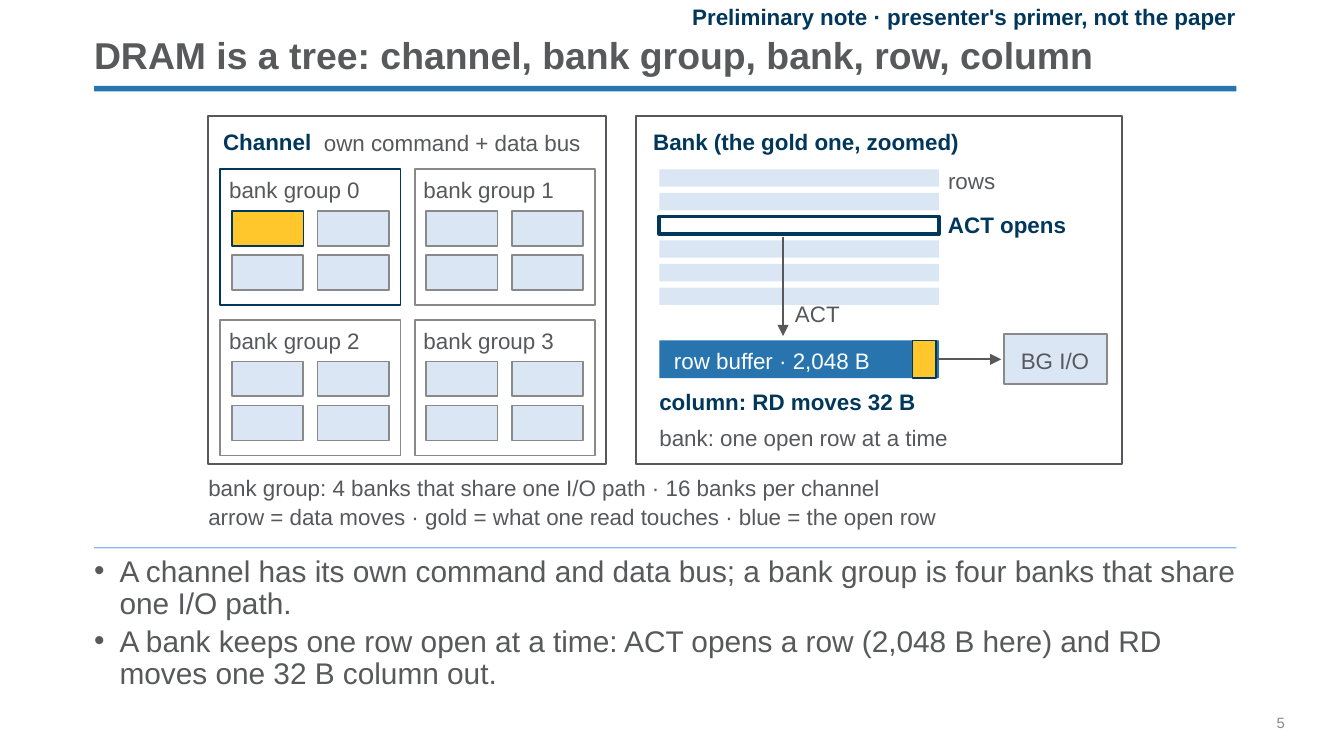
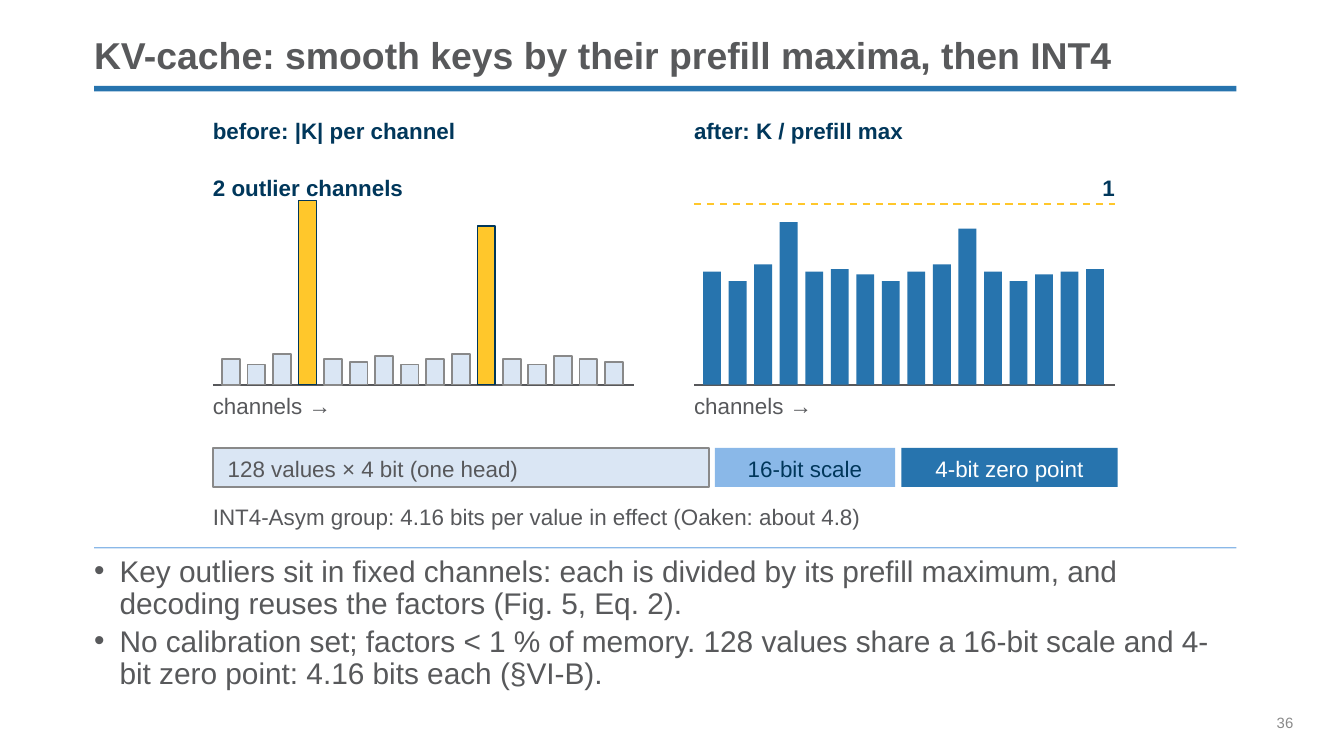
from dataclasses import dataclass
from itertools import product
from typing import NamedTuple, Optional

from lxml.etree import SubElement
from pptx import Presentation
from pptx.dml.color import RGBColor
from pptx.enum.dml import MSO_LINE
from pptx.enum.shapes import MSO_CONNECTOR, MSO_SHAPE
from pptx.enum.text import MSO_ANCHOR, PP_ALIGN
from pptx.oxml.ns import qn
from pptx.slide import Slide
from pptx.text.text import TextFrame
from pptx.util import Emu, Inches, Pt

SLIDE_WIDTH = Inches(10)
SLIDE_HEIGHT = Emu(SLIDE_WIDTH * 9 // 16)
COLUMNS = 100
CELL = SLIDE_WIDTH // COLUMNS


@dataclass(frozen=True)
class Theme:
    font: str = "Arial"
    heading: str = "58595B"
    ink: str = "57585B"
    navy: str = "00375B"
    blue: str = "2774AE"
    sky: str = "8AB8E8"
    pale: str = "DAE6F4"
    gold: str = "FFC72B"
    gray: str = "898989"
    white: str = "FFFFFF"
    title_size: float = 20
    body_size: float = 16
    label_size: float = 12
    number_size: float = 8


THEME = Theme()


class Area(NamedTuple):
    left: float
    top: float
    width: float
    height: float


class Paint(NamedTuple):
    fill: Optional[str] = None
    line: Optional[str] = None
    weight: float = 1


class Type(NamedTuple):
    color: str = THEME.ink
    bold: bool = False
    size: float = THEME.label_size
    align: PP_ALIGN = PP_ALIGN.LEFT


class Label(NamedTuple):
    text: str
    area: Area
    type: Type = Type()


class Box(NamedTuple):
    area: Area
    paint: Paint


class Link(NamedTuple):
    start: tuple[float, float]
    end: tuple[float, float]
    color: str = THEME.ink
    arrow: bool = False
    dashed: bool = False


class Plot(NamedTuple):
    left: float
    heading: str
    heights: tuple[float, ...]
    paint: Paint
    outliers: tuple[int, ...] = ()


PANEL = Paint(THEME.white, THEME.ink)
PALE = Paint(THEME.pale)
PALE_FRAMED = Paint(THEME.pale, THEME.gray)
BLUE = Paint(THEME.blue)
GOLD = Paint(THEME.gold, THEME.navy, 0.75)
STRONG = Type(THEME.navy, bold=True)
STRONG_RIGHT = STRONG._replace(align=PP_ALIGN.RIGHT)
CENTERED = Type(align=PP_ALIGN.CENTER)
TITLE = Type(THEME.heading, True, THEME.title_size)
BODY = Type(THEME.heading, size=THEME.body_size)
NUMBER = Type(THEME.gray, size=THEME.number_size)

LABEL_HEIGHT = 2.5
MARGIN, CONTENT_WIDTH = 7, 85
TITLE_BAND = Box(Area(MARGIN, 6.4, CONTENT_WIDTH, 0.4), BLUE)
BODY_RULE = Box(Area(MARGIN, 40.7, CONTENT_WIDTH, 0.1), Paint(THEME.sky))


def grid(cells: float) -> Emu:
    return Emu(round(cells * CELL))


def rgb(color: str) -> RGBColor:
    return RGBColor.from_string(color)


def write(frame: TextFrame, texts: list[str], style: Type, anchor: MSO_ANCHOR,
          wrap: bool = True, spacing: Optional[float] = None,
          bulleted: bool = False) -> None:
    frame.margin_left = frame.margin_top = frame.margin_right = frame.margin_bottom = 0
    frame.word_wrap = wrap
    frame.vertical_anchor = anchor
    for index, text in enumerate(texts):
        paragraph = frame.add_paragraph() if index else frame.paragraphs[0]
        paragraph.text = text
        paragraph.alignment = style.align
        if spacing:
            paragraph.line_spacing = spacing
        if index:
            paragraph.space_before = Pt(3)
        if bulleted:
            properties = paragraph._p.get_or_add_pPr()
            properties.set("marL", str(grid(1.9)))
            properties.set("indent", str(-grid(1.9)))
            SubElement(properties, qn("a:buFont")).set("typeface", THEME.font)
            SubElement(properties, qn("a:buChar")).set("char", "•")
        font = paragraph.font
        font.name, font.size, font.bold = THEME.font, Pt(style.size), style.bold
        font.color.rgb = rgb(style.color)


def add_frame(slide: Slide, area: Area) -> TextFrame:
    return slide.shapes.add_textbox(*map(grid, area)).text_frame


def draw_label(slide: Slide, label: Label) -> None:
    write(add_frame(slide, label.area), [label.text], label.type, MSO_ANCHOR.MIDDLE, wrap=False)


def draw_box(slide: Slide, box: Box) -> None:
    shape = slide.shapes.add_shape(MSO_SHAPE.RECTANGLE, *map(grid, box.area))
    shape.shadow.inherit = False
    if box.paint.fill:
        shape.fill.solid()
        shape.fill.fore_color.rgb = rgb(box.paint.fill)
    else:
        shape.fill.background()
    if box.paint.line:
        shape.line.color.rgb = rgb(box.paint.line)
        shape.line.width = Pt(box.paint.weight)
    else:
        shape.line.fill.background()


def draw_link(slide: Slide, link: Link) -> None:
    connector = slide.shapes.add_connector(
        MSO_CONNECTOR.STRAIGHT, *map(grid, link.start + link.end))
    connector.line.color.rgb = rgb(link.color)
    connector.line.width = Pt(1)
    if link.dashed:
        connector.line.dash_style = MSO_LINE.DASH
    if link.arrow:
        SubElement(connector.line._get_or_add_ln(), qn("a:tailEnd")).set("type", "triangle")
    SubElement(connector._element.spPr, qn("a:effectLst"))


def add_content_slide(deck: Presentation, title: str, points: list[str], number: int) -> Slide:
    slide = deck.slides.add_slide(deck.slide_layouts[6])
    for band in (TITLE_BAND, BODY_RULE):
        draw_box(slide, band)
    write(add_frame(slide, Area(MARGIN, 2.2, CONTENT_WIDTH, 3.6)), [title], TITLE,
          MSO_ANCHOR.BOTTOM, spacing=0.9)
    write(add_frame(slide, Area(MARGIN, 41.4, CONTENT_WIDTH, 10.6)), points, BODY,
          MSO_ANCHOR.TOP, spacing=0.9, bulleted=True)
    write(add_frame(slide, Area(95, 53.1, 5, 1.4)), [str(number)], NUMBER, MSO_ANCHOR.TOP)
    return slide


def draw_bank_group(slide: Slide, index: int, left: float, top: float) -> None:
    chosen = index == 0
    outline = THEME.navy if chosen else THEME.gray
    draw_box(slide, Box(Area(left, top, 13.4, 10.1), Paint(line=outline)))
    draw_label(slide, Label(f"bank group {index}",
                            Area(left + 0.65, top + 0.25, 12.6, LABEL_HEIGHT)))
    for row, column in product(range(2), repeat=2):
        bank = Area(left + 0.87 + 6.36 * column, top + 3.1 + 3.28 * row, 5.3, 2.6)
        touched = chosen and row == column == 0
        draw_box(slide, Box(bank, GOLD if touched else PALE_FRAMED))


def draw_channel(slide: Slide) -> None:
    draw_box(slide, Box(Area(15.5, 8.65, 29.6, 25.9), PANEL))
    draw_label(slide, Label("Channel", Area(16.6, 9.3, 7.8, LABEL_HEIGHT), STRONG))
    draw_label(slide, Label("own command + data bus", Area(24.1, 9.36, 22.3, LABEL_HEIGHT)))
    for index, (row, column) in enumerate(product(range(2), repeat=2)):
        draw_bank_group(slide, index, 16.4 + 14.46 * column, 12.6 + 11.2 * row)


def draw_bank(slide: Slide) -> None:
    left, width, open_row = 49.06, 20.8, 2
    draw_box(slide, Box(Area(47.3, 8.65, 36.2, 25.9), PANEL))
    for row in range(6):
        paint = Paint(line=THEME.navy, weight=2) if row == open_row else PALE
        draw_box(slide, Box(Area(left, 12.6 + 1.76 * row, width, 1.3), paint))
    for box in (
        Box(Area(left, 25.33, width, 2.8), BLUE),
        Box(Area(67.92, 25.33, 1.74, 2.8), GOLD),
        Box(Area(74.7, 24.86, 7.7, 3.74), PALE_FRAMED),
    ):
        draw_box(slide, box)
    for link in (
        Link((58.26, 17.6), (58.26, 25), arrow=True),
        Link((69.7, 26.74), (74.5, 26.74), arrow=True),
    ):
        draw_link(slide, link)
    for label in (
        Label("Bank (the gold one, zoomed)", Area(48.6, 9.3, 28.1, LABEL_HEIGHT), STRONG),
        Label("rows", Area(70.54, 12.2, 4.9, LABEL_HEIGHT)),
        Label("ACT opens", Area(70.54, 15.45, 9.7, LABEL_HEIGHT), STRONG),
        Label("ACT", Area(59.15, 22.1, 3.9, LABEL_HEIGHT)),
        Label("row buffer · 2,048 B", Area(50.15, 25.6, 20.3, LABEL_HEIGHT), Type(THEME.white)),
        Label("column: RD moves 32 B", Area(left, 28.6, 21.3, LABEL_HEIGHT), STRONG),
        Label("BG I/O", Area(75.1, 25.6, 6.8, LABEL_HEIGHT), CENTERED),
        Label("bank: one open row at a time", Area(left, 31.3, 28.1, LABEL_HEIGHT)),
    ):
        draw_label(slide, label)


def build_dram_slide(deck: Presentation) -> None:
    slide = add_content_slide(deck, "DRAM is a tree: channel, bank group, bank, row, column", [
        "A channel has its own command and data bus; a bank group is four banks"
        " that share one I/O path.",
        "A bank keeps one row open at a time: ACT opens a row (2,048 B here)"
        " and RD moves one 32 B column out.",
    ], 5)
    write(add_frame(slide, Area(42, 0.4, 50, 1.7)),
          ["Preliminary note · presenter's primer, not the paper"], STRONG_RIGHT,
          MSO_ANCHOR.MIDDLE)
    draw_channel(slide)
    draw_bank(slide)
    for label in (
        Label("bank group: 4 banks that share one I/O path · 16 banks per channel",
              Area(15.5, 35.04, 64.8, LABEL_HEIGHT)),
        Label("arrow = data moves · gold = what one read touches · blue = the open row",
              Area(15.5, 37.2, 70.6, LABEL_HEIGHT)),
    ):
        draw_label(slide, label)


def draw_plot(slide: Slide, plot: Plot) -> None:
    baseline = 28.62
    draw_label(slide, Label(plot.heading, Area(plot.left, 8.44, 23.4, LABEL_HEIGHT), STRONG))
    draw_link(slide, Link((plot.left, baseline), (plot.left + 31.3, baseline)))
    for channel, height in enumerate(plot.heights):
        bar = Area(plot.left + 0.68 + 1.9 * channel, baseline - height, 1.33, height)
        draw_box(slide, Box(bar, GOLD if channel in plot.outliers else plot.paint))
    draw_label(slide, Label("channels →", Area(plot.left, 28.9, 10.7, LABEL_HEIGHT)))


def build_cache_slide(deck: Presentation) -> None:
    slide = add_content_slide(deck, "KV-cache: smooth keys by their prefill maxima, then INT4", [
        "Key outliers sit in fixed channels: each is divided by its prefill maximum,"
        " and decoding reuses the factors (Fig. 5, Eq. 2).",
        "No calibration set; factors < 1 % of memory. 128 values share a 16-bit scale"
        " and 4-bit zero point: 4.16 bits each (§VI‑B).",
    ], 36)
    before = Plot(15.84, "before: |K| per channel",
                  (1.9, 1.5, 2.3, 13.7, 1.9, 1.7, 2.1, 1.5,
                   1.9, 2.3, 11.8, 1.9, 1.5, 2.1, 1.9, 1.7), PALE_FRAMED, (3, 10))
    after = Plot(51.64, "after: K / prefill max",
                 (8.4, 7.7, 8.95, 12.1, 8.4, 8.6, 8.2, 7.7,
                  8.4, 8.95, 11.6, 8.4, 7.7, 8.2, 8.4, 8.6), BLUE)
    for plot in (before, after):
        draw_plot(slide, plot)
    draw_link(slide, Link((after.left, 15.2), (after.left + 31.3, 15.2),
                          THEME.gold, dashed=True))
    for field in (
        Box(Area(before.left, 33.33, 36.9, 2.9), PALE_FRAMED),
        Box(Area(53.2, 33.33, 13.4, 2.9), Paint(THEME.sky)),
        Box(Area(67.06, 33.33, 16.1, 2.9), BLUE),
    ):
        draw_box(slide, field)
    for label in (
        Label("1", Area(80.95, 12.7, 2, LABEL_HEIGHT), STRONG_RIGHT),
        Label("2 outlier channels", Area(before.left, 12.7, 18.5, LABEL_HEIGHT), STRONG),
        Label("128 values × 4 bit (one head)", Area(16.95, 33.6, 29, LABEL_HEIGHT)),
        Label("16-bit scale", Area(53.6, 33.6, 12.6, LABEL_HEIGHT),
              CENTERED._replace(color=THEME.navy)),
        Label("4-bit zero point", Area(66.86, 33.6, 16.5, LABEL_HEIGHT),
              CENTERED._replace(color=THEME.white)),
        Label("INT4-Asym group: 4.16 bits per value in effect (Oaken: about 4.8)",
              Area(before.left, 37.2, 63.8, LABEL_HEIGHT)),
    ):
        draw_label(slide, label)


def main() -> None:
    deck = Presentation()
    deck.slide_width, deck.slide_height = SLIDE_WIDTH, SLIDE_HEIGHT
    build_dram_slide(deck)
    build_cache_slide(deck)
    deck.save("out.pptx")


if __name__ == "__main__":
    main()
